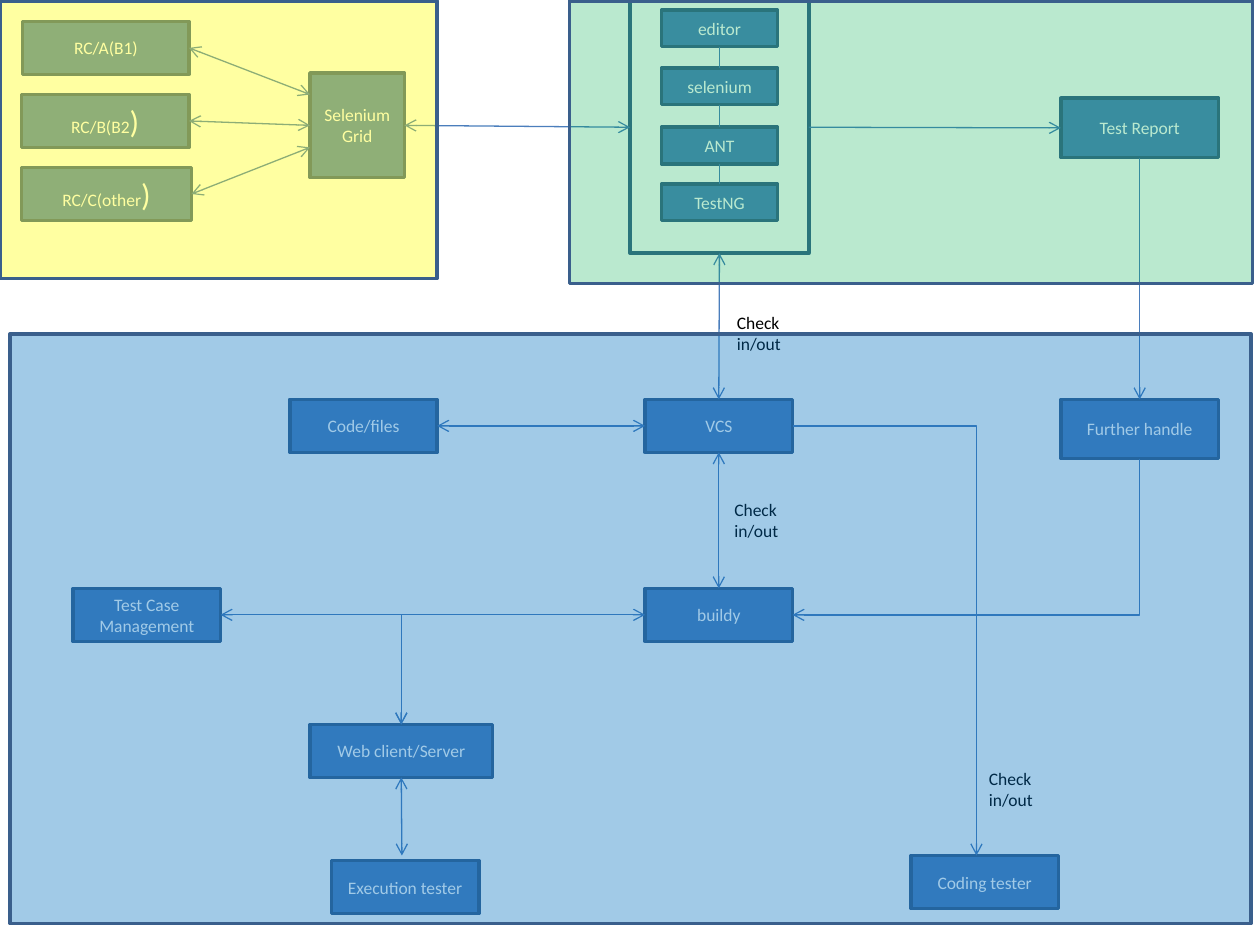
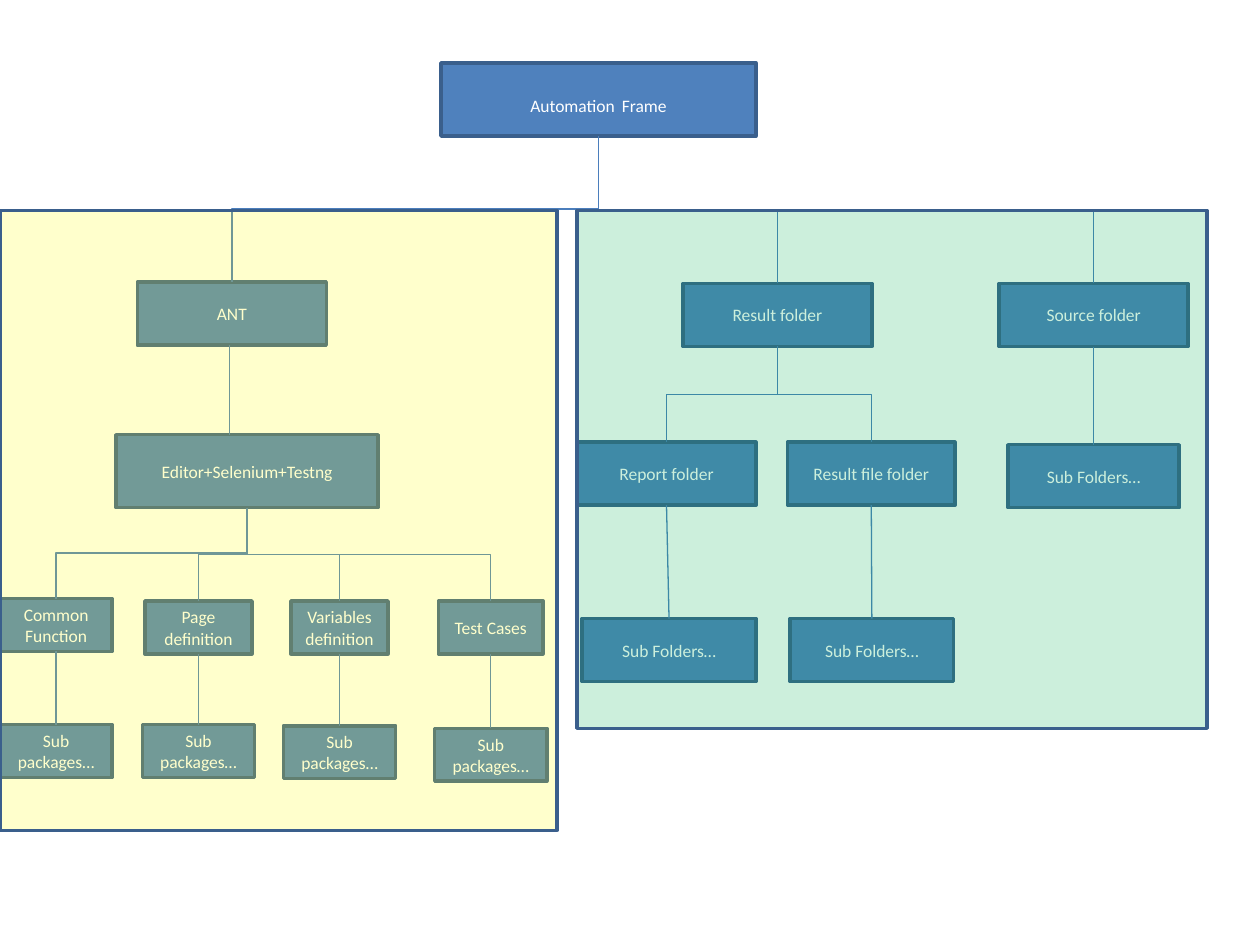
"""Build two slides: a test automation architecture and its folder structure."""
from dataclasses import dataclass
from itertools import cycle

from lxml.etree import SubElement
from pptx import Presentation
from pptx.dml.color import RGBColor
from pptx.enum.shapes import MSO_CONNECTOR as Route, MSO_SHAPE as Preset
from pptx.enum.text import MSO_ANCHOR as Anchor, MSO_AUTO_SIZE as AutoSize, PP_ALIGN as Align
from pptx.oxml.ns import qn
from pptx.util import Inches, Pt


@dataclass(frozen=True)
class Theme:
    font: str = "Calibri"
    box: str = "4F81BD"
    outline: str = "3A5F8C"
    link: str = "4B7EBC"
    light: str = "FFFFFF"
    dark: str = "000000"
    yellow: str = "FFFF00"
    green: str = "00B050"
    blue: str = "0070C0"
    body: float = 10
    large: float = 18
    outline_width: float = 2
    link_width: float = 0.75


THEME = Theme()
RUN_BREAK = "|"

ARCHITECTURE = {
    "box_preset": Preset.FLOWCHART_PROCESS,
    "zone_preset": Preset.RECTANGLE,
    "boxes": {
        "remote_a": ("RC/A(B1)", 0.18, 0.17, 1.32, 0.42),
        "remote_b": ("RC/B(B2|)", 0.17, 0.75, 1.33, 0.42),
        "remote_c": ("RC/C(other|)", 0.17, 1.33, 1.35, 0.42),
        "grid": ("Selenium Grid", 2.46, 0.58, 0.75, 0.83),
        "editor": ("editor", 5.25, 0.08, 0.92, 0.29),
        "selenium": ("selenium", 5.25, 0.54, 0.92, 0.29),
        "ant": ("ANT", 5.25, 1.01, 0.92, 0.29),
        "testng": ("TestNG", 5.25, 1.46, 0.92, 0.29),
        "report": ("Test Report", 8.42, 0.78, 1.25, 0.47),
        "further": ("Further handle", 8.42, 3.17, 1.25, 0.47),
        "code": ("Code/files", 2.3, 3.17, 1.17, 0.42),
        "versions": ("VCS", 5.12, 3.17, 1.17, 0.42),
        "builds": ("buildy", 5.12, 4.67, 1.17, 0.42),
        "cases": ("Test Case Management", 0.58, 4.67, 1.17, 0.42),
        "client": ("Web client/Server", 2.46, 5.75, 1.45, 0.42),
        "execution": ("Execution tester", 2.63, 6.83, 1.17, 0.42),
        "coding": ("Coding tester", 7.23, 6.79, 1.17, 0.42),
    },
    "frames": [(5, 0.01, 1.42, 2)],
    "links": [
        ("line", "editor.bottom", "selenium.top", ""),
        ("line", "selenium.bottom", "ant.top", ""),
        ("line", "ant.bottom", "testng.top", ""),
        ("line", "remote_a.right", (2.46, 0.75), "both"),
        ("line", "remote_b.right", "grid.left", "both"),
        ("line", "remote_c.right", (2.46, 1.17), "both"),
        ("line", "grid.right", (5, 1.01), "both"),
        ("line", (6.42, 1.01), "report.left", "end"),
        ("line", "report.bottom", "further.top", "end"),
        ("line", (5.71, 2.01), "versions.top", "both"),
        ("line", "versions.left", "code.right", "both"),
        ("line", "versions.bottom", "builds.top", "both"),
        ("line", "client.bottom", (3.19, 6.79), "both"),
        ("across", "versions.right", (7.75, 6.79), "end"),
        ("down", "further.bottom", "builds.right", "end"),
        ("across", "cases.right", "client.top", "both"),
        ("across", "builds.left", "client.top", "both"),
    ],
    "labels": [("Check in/out", left, top, 0.58, 0.44)
               for left, top in ((5.75, 2.43), (5.73, 3.91), (7.75, 6.05))],
    "zones": [
        (THEME.yellow, 37, 0, 0.01, 3.47, 2.2),
        (THEME.green, 27, 4.52, 0.01, 5.42, 2.24),
        (THEME.blue, 37, 0.08, 2.65, 9.85, 4.68),
    ],
}

STRUCTURE = {
    "box_preset": Preset.RECTANGLE,
    "zone_preset": Preset.FLOWCHART_PROCESS,
    "boxes": {
        "root": ("Automation| |Frame", 3.5, 0.5, 2.5, 0.58),
        "ant": ("ANT", 1.09, 2.24, 1.5, 0.5),
        "tools": ("Editor+Selenium+Testng", 0.92, 3.45, 2.08, 0.58),
        "common": ("Common Function", 0, 4.75, 0.89, 0.42),
        "page": ("Page definition", 1.15, 4.77, 0.85, 0.42),
        "variables": ("Variables definition", 2.31, 4.77, 0.77, 0.42),
        "cases": ("Test Cases", 3.48, 4.77, 0.83, 0.42),
        "result": ("Result folder", 5.42, 2.25, 1.5, 0.5),
        "source": ("Source folder", 7.93, 2.25, 1.5, 0.5),
        "report": ("Report folder", 4.58, 3.51, 1.42, 0.5),
        "file": ("Result file folder", 6.25, 3.51, 1.33, 0.5),
        "source_sub": ("Sub Folders…", 8, 3.53, 1.36, 0.5),
        "file_sub": ("Sub Folders…", 6.27, 4.91, 1.3, 0.5),
        "report_sub": ("Sub Folders…", 4.62, 4.91, 1.38, 0.5),
        "common_sub": ("Sub packages…", 0, 5.75, 0.89, 0.42),
        "page_sub": ("Sub packages…", 1.13, 5.75, 0.89, 0.42),
        "variables_sub": ("Sub packages…", 2.25, 5.76, 0.89, 0.42),
        "cases_sub": ("Sub packages…", 3.45, 5.78, 0.89, 0.42),
    },
    "frames": [],
    "links": [
        ("line", (1.82, 2.74), (1.82, 3.45), ""),
        *[("line", f"{name}.bottom", f"{name}_sub.top", "")
          for name in ("common", "page", "variables", "cases", "report", "file", "source")],
        *[("tree", "root.bottom", f"{name}.top", "") for name in ("ant", "result", "source")],
        *[("tree", "result.bottom", f"{name}.top", "") for name in ("report", "file")],
        *[("tree", "tools.bottom", f"{name}.top", "")
          for name in ("common", "page", "variables", "cases")],
    ],
    "labels": [],
    "zones": [
        (THEME.yellow, 20, 0, 1.67, 4.42, 4.92),
        (THEME.green, 20, 4.58, 1.67, 5, 4.11),
    ],
}


def color(value):
    return RGBColor.from_string(value)


def add_panel(slide, preset, bounds, fill=None, opacity=100):
    shape = slide.shapes.add_shape(preset, *map(Inches, bounds))
    shape.shadow.inherit = False
    shape.line.color.rgb = color(THEME.outline)
    shape.line.width = Pt(THEME.outline_width)
    if fill is None:
        shape.fill.background()
        return shape
    shape.fill.solid()
    shape.fill.fore_color.rgb = color(fill)
    if opacity < 100:
        tint = shape.element.spPr.find(qn("a:solidFill")).find(qn("a:srgbClr"))
        SubElement(tint, qn("a:alpha"), val=str(opacity * 1000))
    return shape


def write(shape, text, ink):
    paragraph = shape.text_frame.paragraphs[0]
    for part, size in zip(text.split(RUN_BREAK), cycle((THEME.body, THEME.large))):
        run = paragraph.add_run()
        run.text = part
        run.font.name = THEME.font
        run.font.size = Pt(size)
        run.font.color.rgb = color(ink)
    return paragraph


def add_box(slide, preset, text, *bounds):
    shape = add_panel(slide, preset, bounds, THEME.box)
    shape.text_frame.word_wrap = True
    shape.text_frame.vertical_anchor = Anchor.MIDDLE
    write(shape, text, THEME.light).alignment = Align.CENTER


def add_label(slide, text, *bounds):
    shape = slide.shapes.add_textbox(*map(Inches, bounds))
    shape.text_frame.word_wrap = True
    shape.text_frame.auto_size = AutoSize.SHAPE_TO_FIT_TEXT
    write(shape, text, THEME.dark)


def locate(boxes, place):
    if isinstance(place, tuple):
        return place
    name, side = place.split(".")
    left, top, width, height = boxes[name][1:]
    across, down = {"left": (0, 0.5), "right": (1, 0.5),
                    "top": (0.5, 0), "bottom": (0.5, 1)}[side]
    return left + across * width, top + down * height


def add_link(slide, route, start, end, arrows):
    turned = route in ("down", "tree")
    if turned:
        middle_x, middle_y = (start[0] + end[0]) / 2, (start[1] + end[1]) / 2
        half_x, half_y = (end[0] - start[0]) / 2, (end[1] - start[1]) / 2
        start = middle_x - half_y, middle_y + half_x
        end = middle_x + half_y, middle_y - half_x
    kind = Route.STRAIGHT if route == "line" else Route.ELBOW
    connector = slide.shapes.add_connector(kind, *map(Inches, (*start, *end)))
    connector.line.color.rgb = color(THEME.link)
    connector.line.width = Pt(THEME.link_width)
    properties = connector.element.spPr
    if turned:
        properties.find(qn("a:xfrm")).set("rot", str(90 * 60000))
    if route in ("across", "down"):
        properties.find(qn("a:prstGeom")).set("prst", "bentConnector2")
    line = properties.find(qn("a:ln"))
    if arrows == "both":
        SubElement(line, qn("a:headEnd"), type="arrow")
    if arrows:
        SubElement(line, qn("a:tailEnd"), type="arrow")
    SubElement(properties, qn("a:effectLst"))


def build_slide(presentation, content):
    slide = presentation.slides.add_slide(presentation.slide_layouts[6])
    boxes = content["boxes"]
    for box in boxes.values():
        add_box(slide, content["box_preset"], *box)
    for bounds in content["frames"]:
        add_panel(slide, Preset.RECTANGLE, bounds)
    for route, start, end, arrows in content["links"]:
        add_link(slide, route, locate(boxes, start), locate(boxes, end), arrows)
    for label in content["labels"]:
        add_label(slide, *label)
    for fill, opacity, *bounds in content["zones"]:
        add_panel(slide, content["zone_preset"], bounds, fill, opacity)


presentation = Presentation()
presentation.slide_width, presentation.slide_height = Inches(10), Inches(7.5)
for content in (ARCHITECTURE, STRUCTURE):
    build_slide(presentation, content)
presentation.save("out.pptx")
